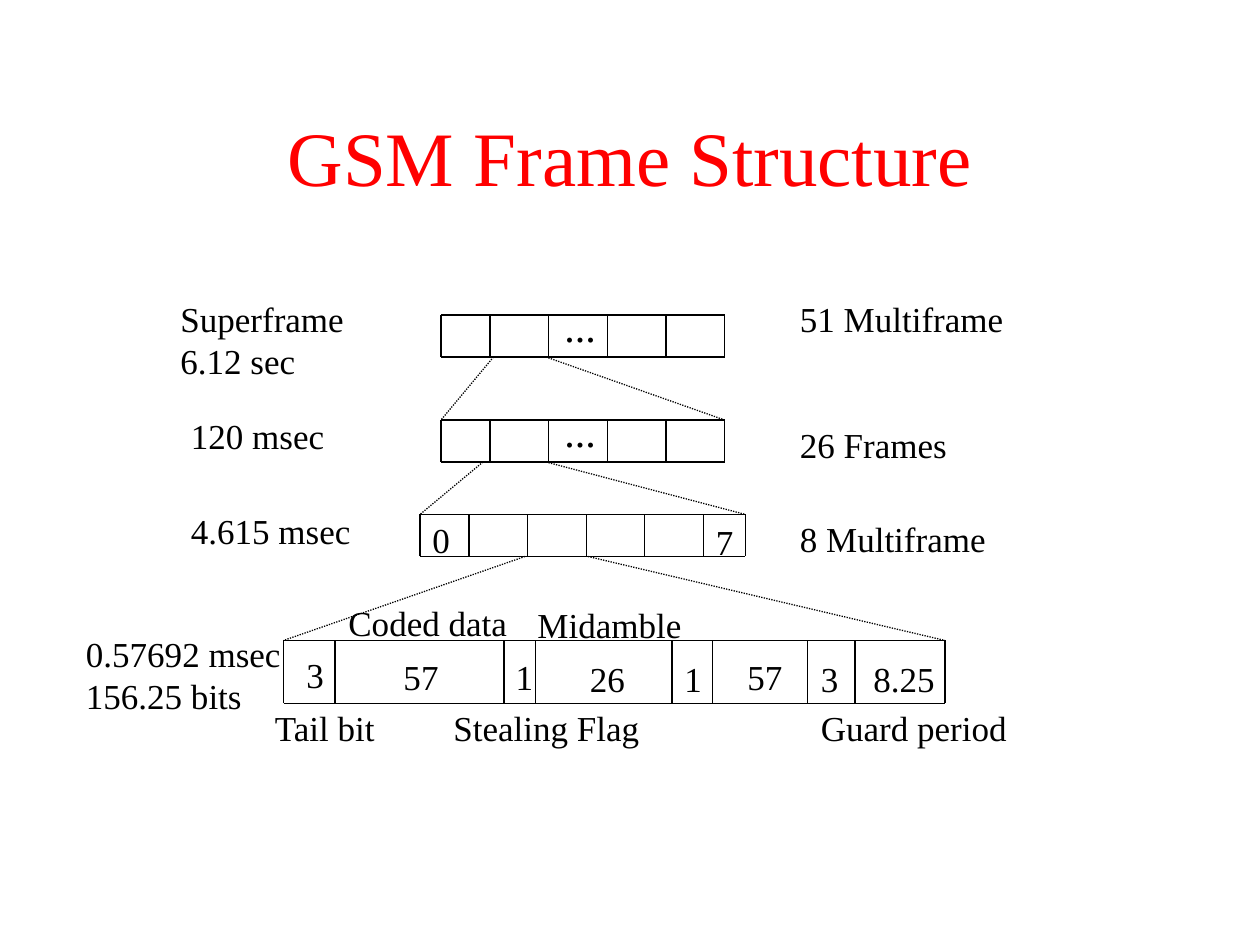
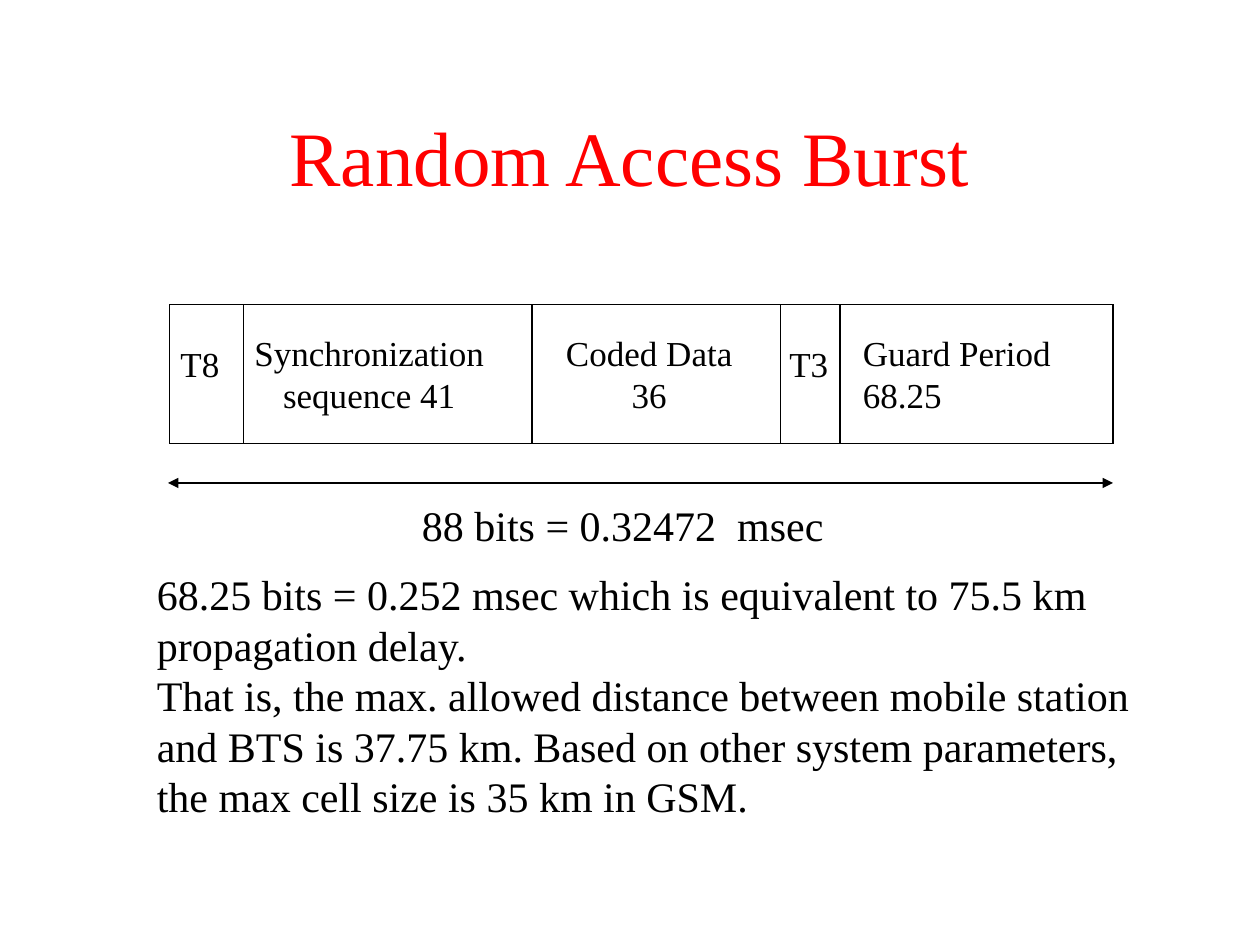
"""Two slides on the GSM frame hierarchy and the random access burst."""
from pptx import Presentation
from pptx.dml.color import RGBColor
from pptx.enum.dml import MSO_LINE
from pptx.enum.shapes import MSO_CONNECTOR
from pptx.enum.text import MSO_ANCHOR, MSO_AUTO_SIZE, PP_ALIGN
from pptx.oxml.ns import qn
from pptx.util import Pt

STRAIGHT = MSO_CONNECTOR.STRAIGHT
DOTTED = MSO_LINE.ROUND_DOT
MIDDLE = MSO_ANCHOR.MIDDLE
GROW = MSO_AUTO_SIZE.SHAPE_TO_FIT_TEXT
FIXED = MSO_AUTO_SIZE.NONE
LEFT, CENTER = PP_ALIGN.LEFT, PP_ALIGN.CENTER

COLORS = {"title": "FF0000", "ink": "000000"}
FONT = "Times New Roman"
TITLE_PLACE = {"left": Pt(54), "top": Pt(48), "width": Pt(612), "height": Pt(90)}
TITLE_FRAME = {"word_wrap": True, "auto_size": FIXED, "vertical_anchor": MIDDLE}
TITLE_PARAGRAPH = {"alignment": CENTER, "line_spacing": 0.85}
TITLE_FONT = {"name": FONT, "size": Pt(44)}
LABEL_FRAME = {"word_wrap": False, "auto_size": GROW}


def add_line(slide, x1, y1, x2, y2, dash=None, arrows=()):
    line = slide.shapes.add_connector(STRAIGHT, Pt(x1), Pt(y1), Pt(x2), Pt(y2))
    line.line.color.rgb = RGBColor.from_string(COLORS["ink"])
    line.line.width = Pt(0.75)
    if dash:
        line.line.dash_style = dash
    properties = line._element.spPr
    outline = properties.find(qn("a:ln"))
    for end in arrows:
        arrow = outline.makeelement(qn(f"a:{end}"), {"type": "triangle"})
        outline.append(arrow)
    properties.append(properties.makeelement(qn("a:effectLst"), {}))


def add_label(slide, text, left, top, width, size=20, alignment=LEFT):
    lines = text.split("\n")
    height = 1.2 * size * len(lines) + 7.2
    label = slide.shapes.add_textbox(Pt(left), Pt(top), Pt(width), Pt(height))
    frame = label.text_frame
    for key, value in LABEL_FRAME.items():
        setattr(frame, key, value)
    for index, words in enumerate(lines):
        paragraph = frame.add_paragraph() if index else frame.paragraphs[0]
        paragraph.alignment = alignment
        run = paragraph.add_run()
        run.text = words
        for key, value in {"name": FONT, "size": Pt(size)}.items():
            setattr(run.font, key, value)
        run.font.color.rgb = RGBColor.from_string(COLORS["ink"])


deck = Presentation()
deck.slide_width, deck.slide_height = Pt(720), Pt(540)

slides = []
for heading in ("GSM Frame Structure", "Random Access Burst"):
    slide = deck.slides.add_slide(deck.slide_layouts[5])
    title = slide.shapes.title
    title.text_frame.text = heading
    paragraph = title.text_frame.paragraphs[0]
    font = paragraph.runs[0].font
    for target, values in (
        (title, TITLE_PLACE),
        (title.text_frame, TITLE_FRAME),
        (paragraph, TITLE_PARAGRAPH),
        (font, TITLE_FONT),
    ):
        for key, value in values.items():
            setattr(target, key, value)
    font.color.rgb = RGBColor.from_string(COLORS["title"])
    slides.append(slide)
frames, access = slides

SLOT = 33.5
multiframe_edges = [252, *(280 + SLOT * k for k in range(4)), 414]
timeslot_edges = [240, *(268 + SLOT * k for k in range(5)), 426]
burst_edges = [162, 191.5, 288, 306, 384, 407, 461.5, 488.5, 540]
access_edges = [97, 139, 304, 446, 480, 636]
bars = [
    (frames, multiframe_edges, 180, 204),
    (frames, multiframe_edges, 240, 264),
    (frames, timeslot_edges, 294, 318),
    (frames, burst_edges, 366, 402),
    (access, access_edges, 174, 253.5),
]
for slide, edges, top, bottom in bars:
    for y in (top, bottom):
        add_line(slide, edges[0], y, edges[-1], y)
    for x in edges:
        add_line(slide, x, top, x, bottom)

zoomed_cells = [(282, 312), (276, 312), (300, 336)]
for cell, upper, lower in zip(zoomed_cells, bars[:3], bars[1:4]):
    for start, end in zip(cell, (lower[1][0], lower[1][-1])):
        add_line(frames, start, upper[3], end, lower[2], dash=DOTTED)

for ellipsis_top in (168, 228):
    add_label(frames, "...", 315.5, ellipsis_top, 33.5, size=24)

frame_labels = [
    ("0", 240, 293, 26),
    ("7", 402, 294, 26),
    ("3", 168, 370, 26),
    ("57", 223.5, 371, 36),
    ("1", 287.5, 371, 26),
    ("26", 330, 372, 36),
    ("1", 384, 372, 26),
    ("57", 420, 371, 36),
    ("3", 462, 372, 26),
    ("8.25", 492, 372, 51),
    ("Superframe\n6.12 sec", 96, 166.5, 110),
    ("120 msec", 102, 233.5, 92),
    ("4.615 msec", 102, 287.5, 108),
    ("0.57692 msec\n156.25 bits", 42, 358, 127),
    ("51 Multiframe", 450, 166.5, 132),
    ("26 Frames", 450, 238.5, 100),
    ("8 Multiframe", 450, 292, 122),
    ("Coded data", 192, 340, 107),
    ("Midamble", 300, 341.5, 98),
    ("Tail bit", 150, 400, 74),
    ("Stealing Flag", 252, 400, 122),
    ("Guard period", 462, 400, 122),
]
for label in frame_labels:
    add_label(frames, *label)

access_labels = [
    ("T8", 96, 192, 38, 20, LEFT),
    ("Synchronization\nsequence 41", 137.5, 186, 147, 20, CENTER),
    ("Coded Data\n36", 315.5, 186, 111, 20, CENTER),
    ("Guard Period\n68.25", 486, 186, 124, 20, LEFT),
    ("T3", 444, 192, 38, 20, LEFT),
    ("88 bits = 0.32472  msec", 234, 282, 246, 24, LEFT),
    (
        "68.25 bits = 0.252 msec which is equivalent to 75.5 km\n"
        "propagation delay.\n"
        "That is, the max. allowed distance between mobile station\n"
        "and BTS is 37.75 km. Based on other system parameters,\n"
        "the max cell size is 35 km in GSM.",
        82.5, 321.5, 578, 24, LEFT,
    ),
]
for label in access_labels:
    add_label(access, *label)
add_line(access, 96, 276, 636, 276, arrows=("headEnd", "tailEnd"))

deck.save("out.pptx")
